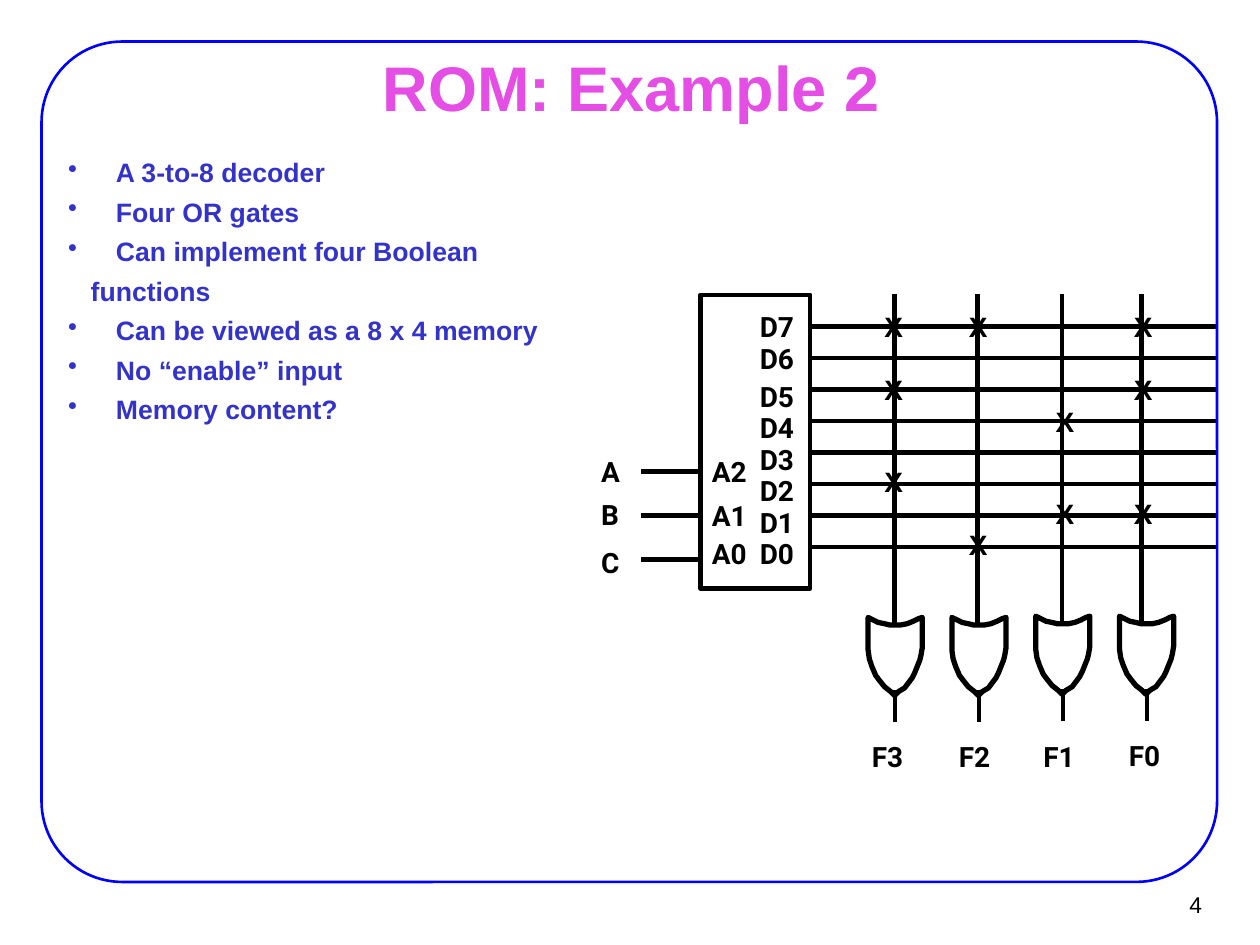
from lxml import etree
from pptx import Presentation
from pptx.dml.color import RGBColor
from pptx.enum.shapes import MSO_CONNECTOR, MSO_SHAPE
from pptx.enum.text import MSO_ANCHOR, MSO_AUTO_SIZE, PP_ALIGN
from pptx.oxml.ns import qn
from pptx.util import Inches, Pt

BLACK = RGBColor(0, 0, 0)
BLUE = RGBColor(0, 0, 0xFF)
INDIGO = RGBColor(0x33, 0x33, 0xCC)
PINK = RGBColor(0xE4, 0x4E, 0xE4)
RECT, ROUND = MSO_SHAPE.RECTANGLE, MSO_SHAPE.ROUNDED_RECTANGLE
STRAIGHT = MSO_CONNECTOR.STRAIGHT
TOP, MIDDLE = MSO_ANCHOR.TOP, MSO_ANCHOR.MIDDLE
LEFT, CENTER, RIGHT = PP_ALIGN.LEFT, PP_ALIGN.CENTER, PP_ALIGN.RIGHT
NO_FIT = MSO_AUTO_SIZE.NONE

# OR gate outline, in hundredths of an inch from its top left corner
GATE = [(43, 0), (40, 1), (36, 3), (31, 5), (26, 6), (21, 6), (17, 6),
        (13, 5), (8, 4), (4, 2), (0, 0), (0, 18), (0, 26), (1, 33), (3, 39),
        (6, 46), (9, 50), (13, 55), (18, 59), (21, 62), (24, 59), (29, 56),
        (32, 52), (35, 48), (37, 44), (39, 39), (41, 34), (42, 30), (43, 24)]

# Output: wire x, gate top, label left, label top, mark left, marked rows
OUTPUTS = {
    "F3": (7.1, 4.9, 6.92, 5.87, 6.92, (7, 5, 2)),
    "F2": (7.76, 4.9, 7.61, 5.87, 7.59, (7, 0)),
    "F1": (8.43, 4.89, 8.28, 5.87, 8.28, (4, 1)),
    "F0": (9.06, 4.89, 8.96, 5.86, 8.9, (7, 5, 1)),
}
# Input: wire y, label top, pin, pin top
INPUTS = {
    "A": (3.74, 3.61, "A2", 3.61),
    "B": (4.09, 3.95, "A1", 3.96),
    "C": (4.44, 4.33, "A0", 4.26),
}
POINTS = ["A 3-to-8 decoder", "Four OR gates", "Can implement four Boolean",
          "functions", "Can be viewed as a 8 x 4 memory",
          "No “enable” input", "Memory content?"]


class Board:
    font, label_font, label_size, wire = "Arial", "Roboto", 16, 2.64

    def __init__(self, slide):
        self.slide = slide
        self.shapes = slide.shapes

    def style(self, para, size, color, bold, font=None, align=LEFT):
        para.alignment = align
        for run in para.runs:
            face = run.font
            face.name, face.size, face.bold = font or self.font, Pt(size), bold
            face.color.rgb = color

    def inset(self, frame, x, y):
        frame.margin_left = frame.margin_right = Inches(x)
        frame.margin_top = frame.margin_bottom = Inches(y)

    def title(self, text, *box):
        title = self.shapes.title
        title.left, title.top, title.width, title.height = map(Inches, box)
        frame = title.text_frame
        frame.text = text
        frame.auto_size = NO_FIT
        frame.vertical_anchor = MIDDLE
        self.inset(frame, 0.11, 0.06)
        self.style(frame.paragraphs[0], 36, PINK, True, align=CENTER)

    def text(self, text, *box, inset=(0, 0), wrap=False, anchor=TOP):
        frame = self.shapes.add_textbox(*map(Inches, box)).text_frame
        frame.text = text
        frame.word_wrap = wrap
        frame.vertical_anchor = anchor
        self.inset(frame, *inset)
        return frame

    def label(self, text, x, y):
        width = 0.29 if len(text) > 1 else 0.15
        frame = self.text(text, x, y, width, 0.27)
        self.style(frame.paragraphs[0], self.label_size, BLACK, True,
                   self.label_font)

    def mark(self, x, y):
        frame = self.text("X", x, y, 0.38, 0.37, inset=(0.1, 0.05), wrap=True)
        para = frame.paragraphs[0]
        para.space_before = Pt(10)
        self.style(para, self.label_size, BLACK, True)

    def number(self, text, *box):
        frame = self.text(text, *box, inset=(0.09, 0.04), anchor=MIDDLE)
        self.style(frame.paragraphs[0], 13, BLACK, False, align=RIGHT)

    def bullets(self, items, *box):
        frame = self.text("\n".join(items), *box, inset=(0.11, 0.06), wrap=True)
        for para in frame.paragraphs:
            para.line_spacing = 0.8
            para.space_before = Pt(8)
            self.style(para, 15.2, INDIGO, True)
            props = para._p.get_or_add_pPr()
            # A lower-case line carries on the bullet above it
            if para.text[0].islower():
                props.set("marL", str(Inches(0.18)))
                props.set("indent", "0")
                continue
            props.set("marL", str(Inches(0.38)))
            props.set("indent", str(-Inches(0.38)))
            tint = etree.SubElement(props, qn("a:buClr"))
            etree.SubElement(tint, qn("a:srgbClr")).set("val", str(INDIGO))
            etree.SubElement(props, qn("a:buChar")).set("char", "•")

    def outline(self, shape, color, width):
        shape.shadow.inherit = False
        shape.fill.background()
        shape.line.color.rgb = color
        shape.line.width = Pt(width)

    def box(self, kind, color, width, *box):
        shape = self.shapes.add_shape(kind, *map(Inches, box))
        self.outline(shape, color, width)
        return shape

    def line(self, x1, y1, x2, y2, width=None):
        line = self.shapes.add_connector(
            STRAIGHT, *map(Inches, (x1, y1, x2, y2)))
        line.line.color.rgb = BLACK
        line.line.width = Pt(width or self.wire)
        etree.SubElement(line._element.spPr, qn("a:effectLst"))

    def gate(self, x, y):
        path = self.shapes.build_freeform(*GATE[0], scale=Inches(0.01))
        path.add_line_segments(GATE[1:], close=True)
        self.outline(path.convert_to_shape(Inches(x), Inches(y)), BLACK, 3)


def main():
    deck = Presentation()
    deck.slide_width, deck.slide_height = Inches(10), Inches(7.5)
    board = Board(deck.slides.add_slide(deck.slide_layouts[5]))

    # Frame, title and page number
    frame = board.box(ROUND, BLUE, 1.5, 0.33, 0.33, 9.33, 6.67)
    frame.adjustments[0] = 0.096
    board.title("ROM: Example 2", 0.76, 0.44, 8.5, 0.49)
    board.number("4", 9.02, 6.99, 0.61, 0.37)

    # Decoder with its inputs
    board.box(RECT, BLACK, board.wire, 5.56, 2.34, 0.87, 2.33)
    for name, (y, top, pin, pin_top) in INPUTS.items():
        board.line(5.09, y, 5.54, y)
        board.label(name, 4.77, top)
        board.label(pin, 5.65, pin_top)

    # Decoder rows, D0 lowest; the top two labels sit a little higher
    rows = [4.34 - 0.25 * i for i in range(8)]
    for i, y in enumerate(rows):
        board.line(6.43, y, 9.65, y)
        board.label(f"D{i}", 6.03, y - (0.13 if i > 5 else 0.08))

    # Output columns: wire, OR gate, stem, label and marks
    for i, (name, spec) in enumerate(OUTPUTS.items()):
        x, top, left, base, cross, marked = spec
        gate = 6.89 + 0.665 * i
        stem = gate + 0.215
        board.line(x, 2.33, x, top + 0.06)
        board.gate(gate, top)
        board.line(stem, top + 0.58, stem, top + 0.83, 2.25)
        board.label(name, left, base)
        for row in marked:
            board.mark(cross, rows[row] - (0.18 if row > 3 else 0.2))

    # Key points
    board.bullets(POINTS, 0.43, 1.23, 4.41, 2.73)
    deck.save("out.pptx")


if __name__ == "__main__":
    main()
